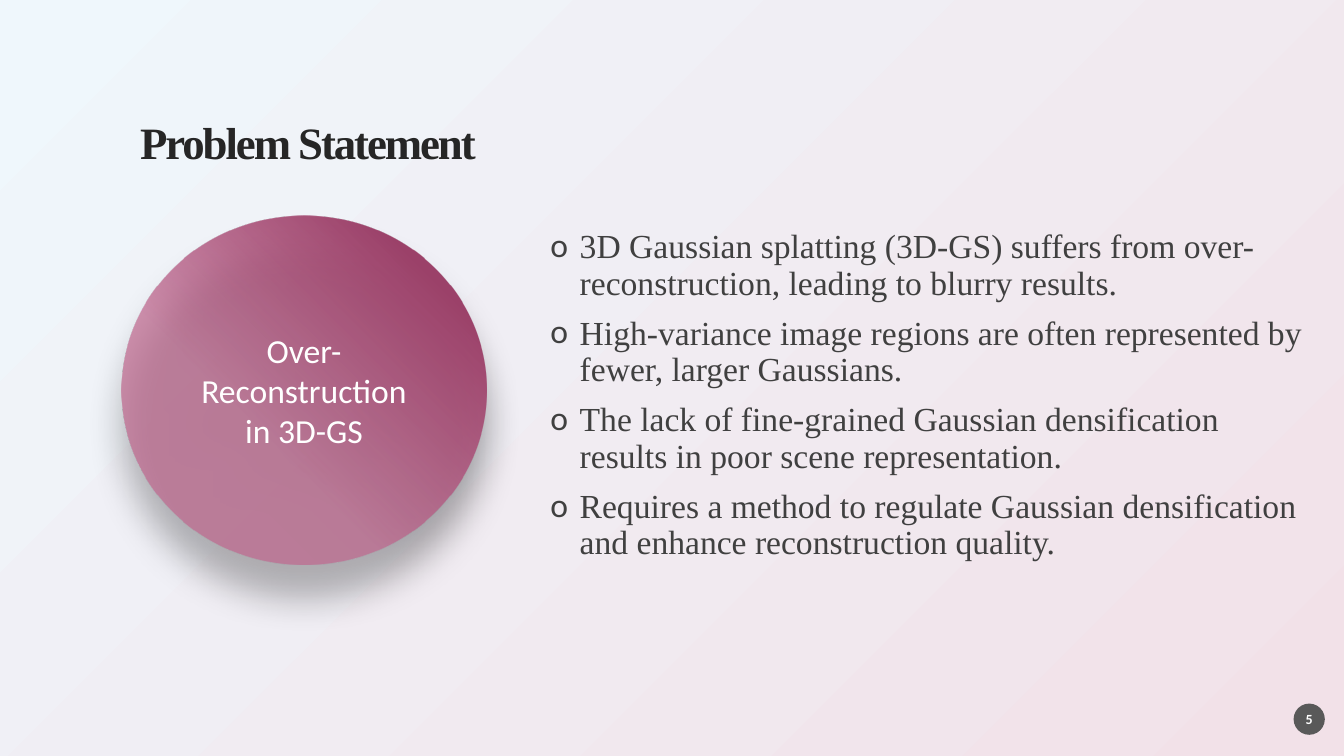
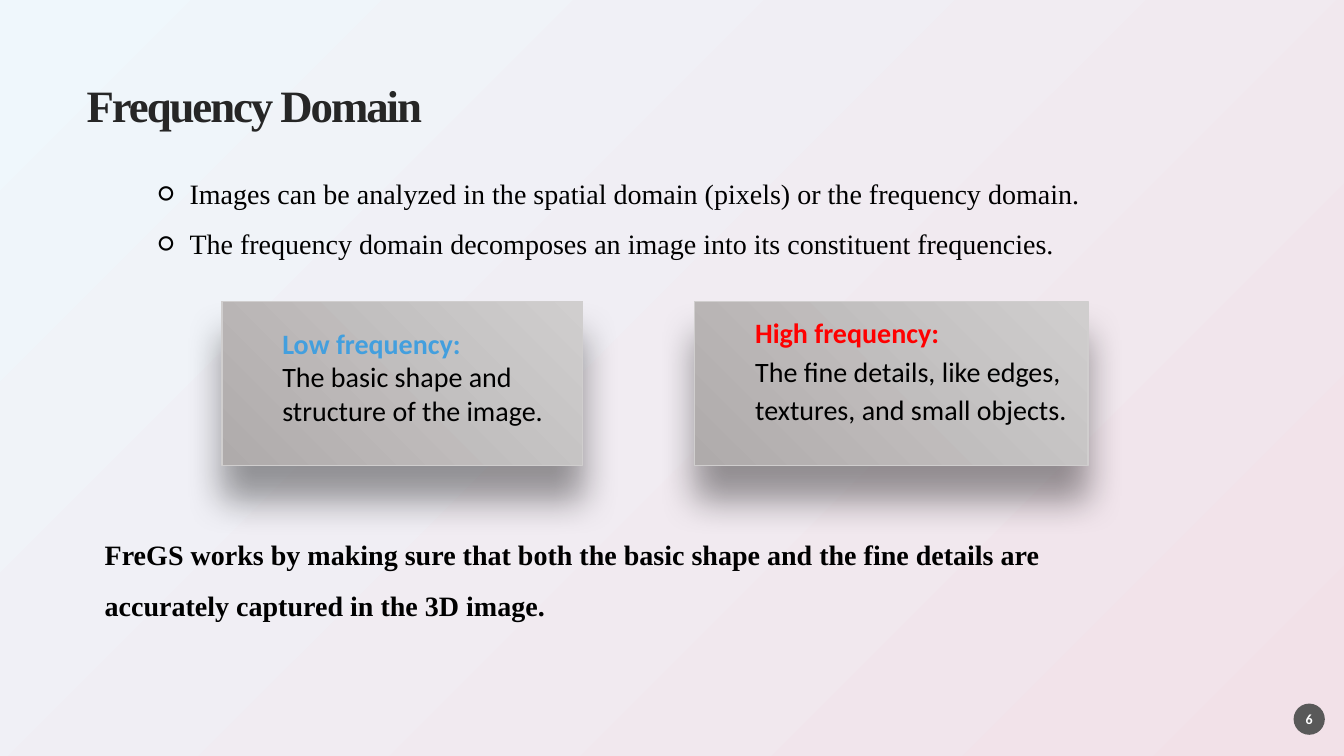
import dataclasses

import lxml.etree
import pptx
import pptx.dml.color
import pptx.enum.shapes
import pptx.enum.text
import pptx.oxml
import pptx.oxml.ns
import pptx.util

Inches = pptx.util.Inches
Pt = pptx.util.Pt
ALIGN = pptx.enum.text.PP_ALIGN
ANCHOR = pptx.enum.text.MSO_ANCHOR
SHAPE = pptx.enum.shapes.MSO_SHAPE
NO_INSETS = (0, 0, 0, 0)


@dataclasses.dataclass(frozen=True)
class Theme:
    serif: str = "Times New Roman"
    sans: str = "Calibri"
    title_size: int = 32
    large_size: int = 24
    body_size: int = 20
    badge_size: int = 10
    title: str = "262626"
    soft_text: str = "404040"
    black: str = "000000"
    white: str = "FFFFFF"
    badge: str = "595959"
    low: str = "439FDE"
    high: str = "FF0000"
    card_line: str = "D0CECE"
    # Gradient stops: position, colour, opacity, all in percent
    background: tuple = ((0, "EFF7FC", 100), (100, "F2E1E8", 100))
    circle: tuple = ((16, "9B4169", 100), (62, "BF678E", 71))
    card: tuple = ((0, "D0CECE", 100), (100, "AFABAB", 100))


THEME = Theme()


def rgb(color):
    return pptx.dml.color.RGBColor.from_string(color)


def add_element(parent, tag, **attributes):
    element = lxml.etree.SubElement(parent, pptx.oxml.ns.qn(tag))
    for name, value in attributes.items():
        element.set(name, str(value))
    return element


def add_color(parent, color, opacity):
    element = add_element(parent, "a:srgbClr", val=color)
    if opacity < 100:
        add_element(element, "a:alpha", val=opacity * 1000)


def set_corner_gradient(fill, properties, stops, focus):
    """Fill with a circular gradient that starts at the corner given by focus."""
    fill.gradient()
    gradient = properties.find(pptx.oxml.ns.qn("a:gradFill"))
    for child in list(gradient):
        gradient.remove(child)
    stop_list = add_element(gradient, "a:gsLst")
    for position, color, opacity in stops:
        stop = add_element(stop_list, "a:gs", pos=position * 1000)
        add_color(stop, color, opacity)
    circle = add_element(gradient, "a:path", path="circle")
    add_element(circle, "a:fillToRect", **{side: 100000 for side in focus})


def add_shadow(shape):
    effects = shape._element.spPr.find(pptx.oxml.ns.qn("a:effectLst"))
    shadow = add_element(effects, "a:outerShdw", blurRad=Pt(26), dist=Pt(24),
                         dir=90 * 60000, algn="t", rotWithShape=0)
    add_color(shadow, THEME.black, 39)


def text_format(name, size, color, bold=False):
    return {"name": name, "size": Pt(size), "color": color, "bold": bold}


def apply_format(target, values):
    for name, value in values.items():
        if name == "color":
            target.color.rgb = rgb(value)
        else:
            setattr(target, name, value)


def add_bullet(paragraph, character, left, hanging):
    properties = paragraph._p.get_or_add_pPr()
    properties.set("marL", str(Inches(left)))
    properties.set("indent", str(-Inches(hanging)))
    add_element(properties, "a:buFont", typeface=THEME.sans)
    add_element(properties, "a:buChar", char=character)


def write_text(shape, lines, anchor=ANCHOR.TOP, insets=(0.1, 0.05, 0.1, 0.05),
               bullet=None, gap=0, **paragraph_format):
    """Write (text, font format) lines; insets run left, top, right, bottom."""
    frame = shape.text_frame
    left, top, right, bottom = map(Inches, insets)
    apply_format(frame, {"word_wrap": True, "vertical_anchor": anchor,
                         "margin_left": left, "margin_top": top,
                         "margin_right": right, "margin_bottom": bottom})
    for index, (text, font_format) in enumerate(lines):
        paragraph = frame.add_paragraph() if index else frame.paragraphs[0]
        if bullet:
            add_bullet(paragraph, *bullet)
        apply_format(paragraph, {"alignment": ALIGN.LEFT, **paragraph_format})
        if index and gap:
            paragraph.space_before = Pt(gap)
        run = paragraph.add_run()
        run.text = text
        apply_format(run.font, font_format)
    return frame


def add_text(slide, box, lines, **options):
    return write_text(slide.shapes.add_textbox(*map(Inches, box)), lines, **options)


def add_plain_shape(slide, kind, box):
    shape = slide.shapes.add_shape(kind, *map(Inches, box))
    shape.shadow.inherit = False
    shape.line.fill.background()
    return shape


def add_raised_shape(slide, kind, box, stops):
    shape = add_plain_shape(slide, kind, box)
    set_corner_gradient(shape.fill, shape._element.spPr, stops, "lb")
    add_shadow(shape)
    return shape


def add_title(slide, text, left, top):
    font_format = text_format(THEME.serif, THEME.title_size, THEME.title, True)
    frame = add_text(slide, (left, top, 11.5, 0.79), [(text, font_format)],
                     anchor=ANCHOR.MIDDLE, insets=NO_INSETS, line_spacing=0.9)
    frame.paragraphs[0].runs[0].font._element.set("spc", "-150")


def add_page_number(slide, number):
    badge = add_plain_shape(slide, SHAPE.OVAL, (12.83, 6.98, 0.31, 0.31))
    badge.fill.solid()
    badge.fill.fore_color.rgb = rgb(THEME.badge)
    font_format = text_format(THEME.sans, THEME.badge_size, THEME.white, True)
    write_text(badge, [(str(number), font_format)], anchor=ANCHOR.MIDDLE,
               insets=NO_INSETS, alignment=ALIGN.CENTER)


def add_frequency_card(slide, left, width, heading, color, text, spacings):
    card = add_raised_shape(slide, SHAPE.RECTANGLE, (left, 2.99, width, 1.63), THEME.card)
    card.line.color.rgb = rgb(THEME.card_line)
    card.line.width = Pt(1)
    lines = [(heading, text_format(THEME.sans, THEME.body_size, color, True)),
             (text, text_format(THEME.sans, THEME.body_size, THEME.black))]
    frame = write_text(card, lines, anchor=ANCHOR.MIDDLE, insets=(0.6, 0.05, 0.1, 0.35))
    for paragraph, spacing in zip(frame.paragraphs, spacings):
        paragraph.line_spacing = spacing


def add_slide(presentation, title, left, top, number):
    slide = presentation.slides.add_slide(presentation.slide_layouts[6])
    add_title(slide, title, left, top)
    add_page_number(slide, number)
    return slide


def build_problem_slide(presentation):
    slide = add_slide(presentation, "Problem Statement", 1.39, 1.04, 5)
    body = text_format(THEME.serif, THEME.large_size, THEME.soft_text)
    problems = (
        "3D Gaussian splatting (3D-GS) suffers from over-reconstruction, leading to blurry results.",
        "High-variance image regions are often represented by fewer, larger Gaussians.",
        "The lack of fine-grained Gaussian densification results in poor scene representation.",
        "Requires a method to regulate Gaussian densification and enhance reconstruction quality.",
    )
    add_text(slide, (5.46, 2.28, 7.53, 4.59), [(text, body) for text in problems],
             insets=NO_INSETS, bullet=("o", 0.29, 0.29), gap=10, line_spacing=0.9)
    circle = add_raised_shape(slide, SHAPE.OVAL, (1.21, 2.14, 3.61, 3.46), THEME.circle)
    label = text_format(THEME.sans, THEME.large_size, THEME.white)
    write_text(circle, [("Over-Reconstruction in 3D-GS", label)],
               anchor=ANCHOR.MIDDLE, alignment=ALIGN.CENTER)


def build_frequency_slide(presentation):
    slide = add_slide(presentation, "Frequency Domain", 0.86, 0.68, 6)
    body = text_format(THEME.serif, THEME.body_size, THEME.black)
    facts = (
        "Images can be analyzed in the spatial domain (pixels) or the frequency domain.",
        "The frequency domain decomposes an image into its constituent frequencies.",
    )
    add_text(slide, (1.07, 1.58, 10.34, 0.91), [(text, body) for text in facts],
             insets=NO_INSETS, bullet=("○", 0.81, 0.31), line_spacing=1.5)
    add_frequency_card(slide, 2.2, 3.58, "Low frequency:", THEME.low,
                       "The basic shape and structure of the image.", (1.5, 1.0))
    add_frequency_card(slide, 6.89, 3.9, "High frequency:", THEME.high,
                       "The fine details, like edges, textures, and small objects.", (1.15, 1.15))
    summary = ("FreGS works by making sure that both the basic shape and the fine details are "
               "accurately captured in the 3D image.")
    add_text(slide, (0.94, 5.12, 10.6, 1.06), [(summary, {**body, "bold": True})],
             line_spacing=1.5)


def main():
    presentation = pptx.Presentation()
    presentation.slide_width = Inches(13.33)
    presentation.slide_height = Inches(7.5)
    master = presentation.slide_master
    fill = master.background.fill
    set_corner_gradient(fill, master._element.cSld.bg.bgPr, THEME.background, "rb")
    build_problem_slide(presentation)
    build_frequency_slide(presentation)
    presentation.save("out.pptx")


if __name__ == "__main__":
    main()
